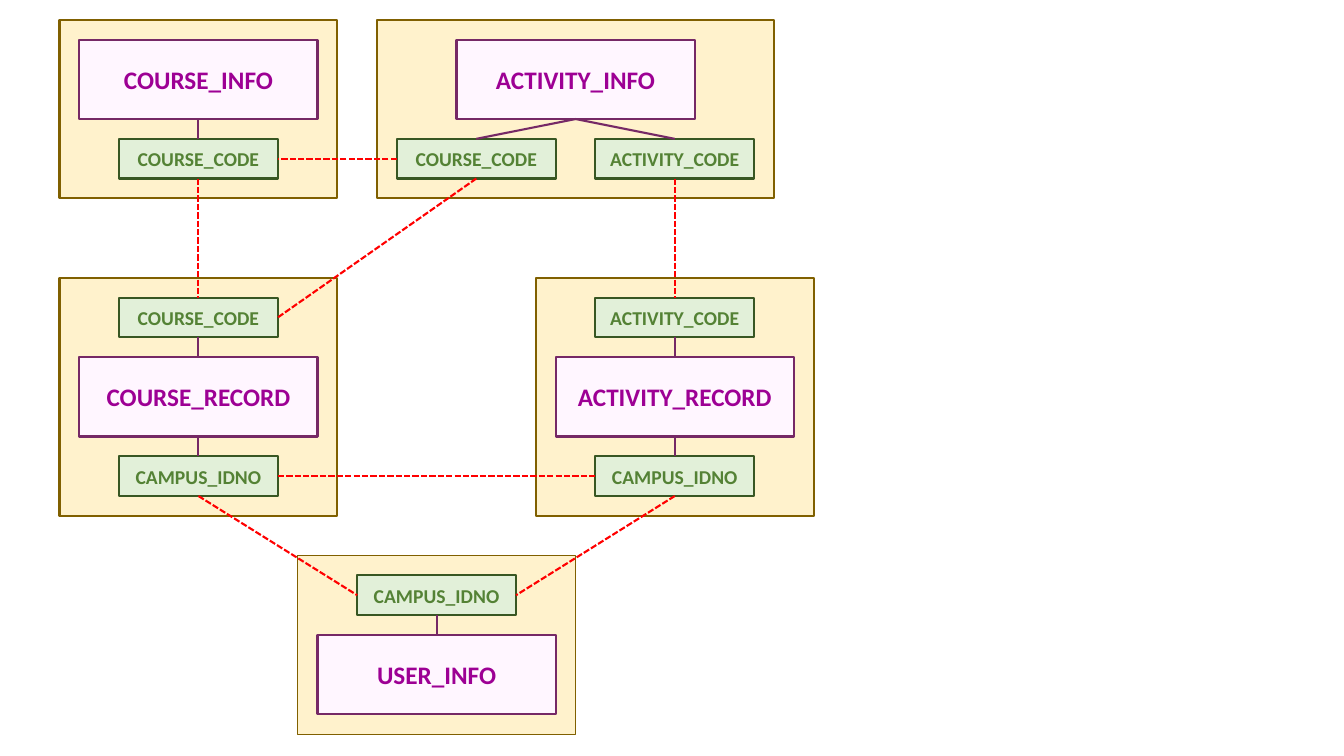
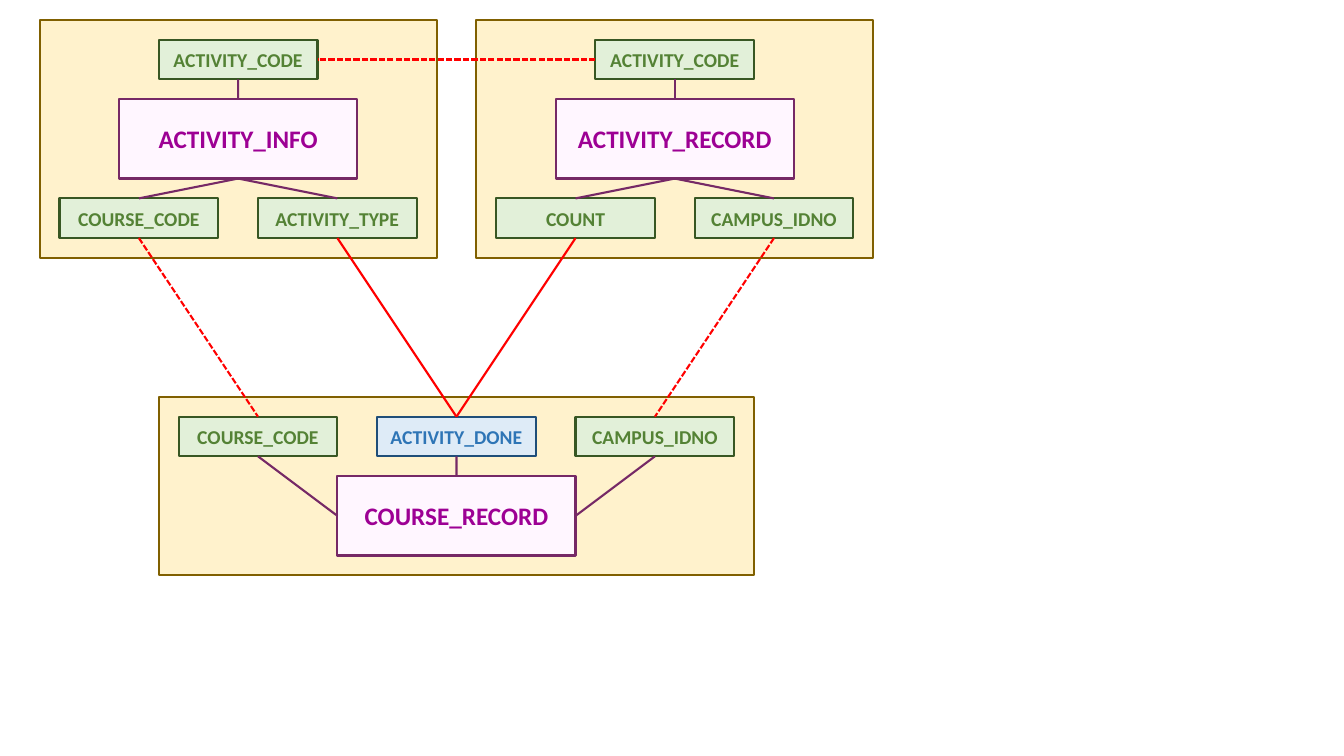
from lxml.etree import SubElement
from pptx import Presentation
from pptx.dml.color import RGBColor
from pptx.enum.dml import MSO_LINE_DASH_STYLE as Dash
from pptx.enum.shapes import MSO_CONNECTOR_TYPE as Conn, MSO_SHAPE as Form
from pptx.enum.text import MSO_ANCHOR as Anchor, PP_ALIGN as Align
from pptx.oxml.ns import qn
from pptx.util import Inches, Pt

UNIT = 0.5 / 2.54
SITES = "tlbr"
BOXES = {
    "panel": {"fill": "FFF2CC", "edge": "806000"},
    "table": {"fill": "FFF6FF", "edge": "762966", "ink": "9D0094", "size": 18},
    "key": {"fill": "E2F0D9", "edge": "385723", "ink": "548235", "size": 14},
    "flag": {"fill": "DEEBF7", "edge": "1F4E79", "ink": "2E75B6", "size": 14},
}
LINES = {
    "own": {"hue": "762966", "dash": None},
    "join": {"hue": "FF0000", "dash": Dash.SQUARE_DOT},
    "flow": {"hue": "FF0000", "dash": None},
}


def tint(code):
    """Turn a hex string into a colour."""
    return RGBColor.from_string(code)


def put(thing, values):
    """Set each named value on an object."""
    for name, value in values.items():
        setattr(thing, name, value)


class Chart:
    """Draw table diagrams on a half-centimetre grid."""

    def __init__(self):
        """Start an empty wide deck."""
        self.deck = Presentation()
        put(self.deck, {"slide_width": Inches(13.33), "slide_height": Inches(7.5)})

    def page(self):
        """Add a blank slide and make it current."""
        self.slide = self.deck.slides.add_slide(self.deck.slide_layouts[6])

    def box(self, kind, left, top, wide, high, text="", edge=1.5):
        """Draw a box of one kind, with a centred label if given."""
        look = BOXES[kind]
        area = [Inches(n * UNIT) for n in (left, top, wide, high)]
        box = self.slide.shapes.add_shape(Form.RECTANGLE, *area)
        box.shadow.inherit = False
        box.fill.solid()
        box.fill.fore_color.rgb = tint(look["fill"])
        box.line.color.rgb = tint(look["edge"])
        box.line.width = Pt(edge)
        if text:
            frame = box.text_frame
            put(frame, {"word_wrap": True, "vertical_anchor": Anchor.MIDDLE})
            para = frame.paragraphs[0]
            para.alignment = Align.CENTER
            run = para.add_run()
            run.text = text
            put(run.font, {"name": "Calibri", "size": Pt(look["size"]), "bold": True})
            run.font.color.rgb = tint(look["ink"])
        return box

    def panel(self, left, top, wide, high, edge=1.5):
        """Draw the backing of one table group."""
        return self.box("panel", left, top, wide, high, edge=edge)

    def table(self, text, left, top):
        """Draw a table name."""
        return self.box("table", left, top, 12, 4, text)

    def key(self, text, left, top, kind="key"):
        """Draw a field of a table."""
        return self.box(kind, left, top, 8, 2, text)

    def link(self, kind, start, end, sides):
        """Join two boxes at the sides named by two letters."""
        line = self.slide.shapes.add_connector(Conn.STRAIGHT, 0, 0, 0, 0)
        line.begin_connect(start, SITES.index(sides[0]))
        line.end_connect(end, SITES.index(sides[1]))
        look = LINES[kind]
        line.line.color.rgb = tint(look["hue"])
        put(line.line, {"width": Pt(1.5), "dash_style": look["dash"]})
        SubElement(line.element.spPr, qn("a:effectLst"))

    def links(self, kind, *rows):
        """Draw several links of one kind."""
        for row in rows:
            self.link(kind, *row)


def keys(art):
    """Draw the slide of tables joined by shared keys."""
    art.page()
    art.panel(15, 28, 14, 9, 0.25)
    for left, top, wide, high in (
        (27, 14, 14, 12), (3, 14, 14, 12), (19, 1, 20, 9), (3, 1, 14, 9)
    ):
        art.panel(left, top, wide, high)
    user = art.table("USER_INFO", 16, 32)
    course = art.table("COURSE_INFO", 4, 2)
    event = art.table("ACTIVITY_INFO", 23, 2)
    study = art.table("COURSE_RECORD", 4, 18)
    deed = art.table("ACTIVITY_RECORD", 28, 18)
    course_code, event_course, study_code = [
        art.key("COURSE_CODE", *spot) for spot in ((6, 7), (20, 7), (6, 15))
    ]
    event_code, deed_code = [art.key("ACTIVITY_CODE", 30, top) for top in (7, 15)]
    study_id, deed_id, user_id = [
        art.key("CAMPUS_IDNO", *spot) for spot in ((6, 23), (30, 23), (18, 29))
    ]
    art.links(
        "own",
        (course, course_code, "bt"),
        (event, event_course, "bt"),
        (event, event_code, "bt"),
        (study, study_code, "tb"),
        (study, study_id, "bt"),
        (deed, deed_code, "tb"),
        (deed, deed_id, "bt"),
        (user, user_id, "tb"),
    )
    art.links(
        "join",
        (event_course, course_code, "lr"),
        (course_code, study_code, "bt"),
        (event_course, study_code, "br"),
        (event_code, deed_code, "bt"),
        (deed_id, user_id, "br"),
        (study_id, user_id, "bl"),
        (study_id, deed_id, "rl"),
    )


def done(art):
    """Draw the slide that derives the finished activities."""
    art.page()
    for left, top, wide, high in ((8, 20, 30, 9), (24, 1, 20, 12), (2, 1, 20, 12)):
        art.panel(left, top, wide, high)
    event = art.table("ACTIVITY_INFO", 6, 5)
    deed = art.table("ACTIVITY_RECORD", 28, 5)
    study = art.table("COURSE_RECORD", 17, 24)
    event_code, deed_code = [art.key("ACTIVITY_CODE", left, 2) for left in (8, 30)]
    event_course, sort, count, deed_id = [
        art.key(text, left, 10)
        for text, left in (
            ("COURSE_CODE", 3), ("ACTIVITY_TYPE", 13),
            ("COUNT", 25), ("CAMPUS_IDNO", 35),
        )
    ]
    study_code, flag, study_id = [
        art.key(text, left, 21, kind)
        for text, left, kind in (
            ("COURSE_CODE", 9, "key"), ("ACTIVITY_DONE", 19, "flag"),
            ("CAMPUS_IDNO", 29, "key"),
        )
    ]
    art.links(
        "own",
        (event_code, event, "bt"),
        (event, event_course, "bt"),
        (event, sort, "bt"),
        (deed_code, deed, "bt"),
        (deed, count, "bt"),
        (deed, deed_id, "bt"),
        (study_code, study, "bl"),
        (flag, study, "bt"),
        (study_id, study, "br"),
    )
    art.links(
        "join",
        (event_course, study_code, "bt"),
        (deed_id, study_id, "bt"),
        (deed_code, event_code, "lr"),
    )
    art.links("flow", (count, flag, "bt"), (sort, flag, "bt"))


art = Chart()
keys(art)
done(art)
art.deck.save("out.pptx")
